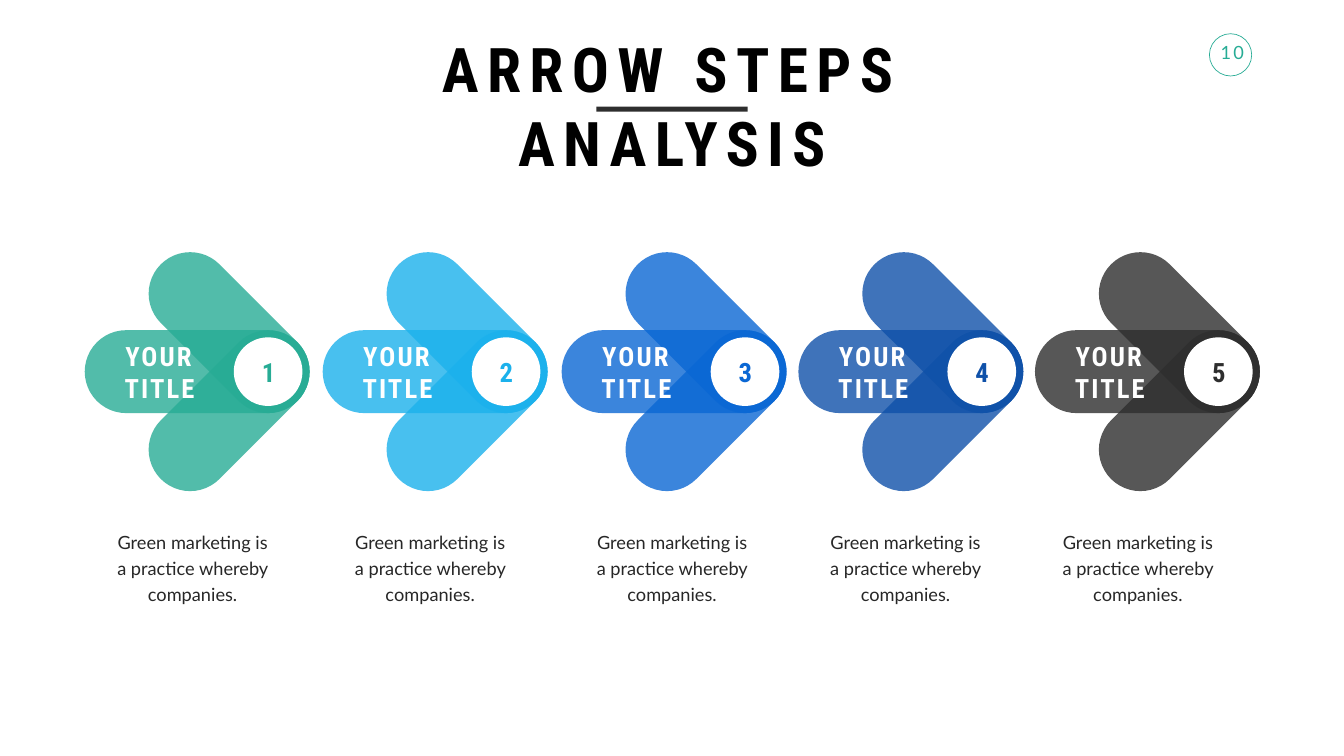
from dataclasses import dataclass
from math import sqrt

from lxml.etree import SubElement
from pptx import Presentation
from pptx.dml.color import RGBColor as Rgb
from pptx.enum.shapes import MSO_SHAPE as Kind
from pptx.enum.text import MSO_ANCHOR as Anchor, MSO_AUTO_SIZE as Fit, PP_ALIGN as Align
from pptx.oxml.ns import qn
from pptx.shapes.autoshape import Shape
from pptx.util import Cm, Pt

COLORS = {
    "green": "27AC95", "sky": "1BB1EC", "blue": "0A67D4", "navy": "0F51A9",
    "dark": "2E2E2E", "white": "FFFFFF", "black": "000000", "body": "272727",
}
HEAD, BODY = "Roboto Condensed", "Lato"

# Arrow geometry in cm
MID = 18.73        # centre line of the arrows
THICK = 4.18       # thickness of bar and arms
LONG = 11.33       # length of the bar
TIP = 9.24         # from the left of the bar to the point where its parts meet
REACH = 3.93       # how far an arm runs back, and up or down, from the tip
DISC = 3.46


@dataclass
class Box:
    left: float
    top: float
    width: float
    height: float

    def lengths(self) -> tuple:
        return Cm(self.left), Cm(self.top), Cm(self.width), Cm(self.height)


@dataclass
class Style:
    font: str
    size: int
    color: str
    bold: bool = False
    gap: int = 0       # letter spacing in points
    wrap: bool = True
    anchor: Anchor = Anchor.TOP


@dataclass
class Step:
    left: float
    note: float        # left of the note
    color: str


STEPS = [
    Step(4.27, 5, "green"),
    Step(16.26, 16.97, "sky"),
    Step(28.3, 29.16, "blue"),
    Step(40.23, 40.92, "navy"),
    Step(52.15, 52.63, "dark"),
]


def center(x: float, y: float, width: float, height: float) -> Box:
    return Box(x - width / 2, y - height / 2, width, height)


def add_form(slide, kind: Kind, box: Box, color: str) -> Shape:
    form = slide.shapes.add_shape(kind, *box.lengths())
    form.shadow.inherit = False
    form.fill.solid()
    form.fill.fore_color.rgb = Rgb.from_string(COLORS[color])
    form.line.fill.background()
    return form


def add_pill(slide, box: Box, color: str, turn: float = 0) -> None:
    """Draw a bar with round ends, 80 % opaque."""
    pill = add_form(slide, Kind.ROUNDED_RECTANGLE, box, color)
    pill.adjustments[0] = 0.5
    pill.rotation = turn
    tint = pill.fill._xPr.find(f"{qn('a:solidFill')}/{qn('a:srgbClr')}")
    SubElement(tint, qn("a:alpha")).set("val", "80000")


def add_text(slide, box: Box, text: str, style: Style) -> Shape:
    label = slide.shapes.add_textbox(*box.lengths())
    frame = label.text_frame
    frame.word_wrap = style.wrap
    frame.auto_size = Fit.SHAPE_TO_FIT_TEXT
    frame.vertical_anchor = style.anchor
    para = frame.paragraphs[0]
    para.alignment = Align.CENTER
    run = para.add_run()
    run.text = text
    font = para.font
    font.name, font.size, font.bold = style.font, Pt(style.size), style.bold
    font.color.rgb = Rgb.from_string(COLORS[style.color])
    if style.gap:
        run._r.get_or_add_rPr().set("spc", str(style.gap * 100))
    return label


def add_arrow(slide, step: Step) -> None:
    tip = step.left + TIP
    add_pill(slide, Box(step.left, MID - THICK / 2, LONG, THICK), step.color)
    for side in (1, -1):
        arm = center(tip - REACH / 2, MID + side * REACH / 2,
                     REACH * sqrt(2) + THICK, THICK)
        add_pill(slide, arm, step.color, -45 * side % 360)
    add_form(slide, Kind.OVAL, center(tip, MID, DISC, DISC), "white")


def add_note(slide, left: float) -> None:
    note = add_text(slide, Box(left, 26.29, 9.42, 4.42),
                    "Green marketing is a practice whereby companies.",
                    Style(BODY, 26, "body"))
    frame = note.text_frame
    frame.margin_left = frame.margin_right = Cm(0.61)
    frame.margin_top = frame.margin_bottom = Cm(0.3)
    para = frame.paragraphs[0]
    para.line_spacing, para.space_before = Pt(37), Pt(5.2)


def add_badge(slide) -> None:
    add_text(slide, Box(61.11, 1.98, 1.96, 1.37), "10",
             Style(BODY, 26, "green", gap=3, wrap=False))
    ring = add_form(slide, Kind.OVAL, Box(60.94, 1.7, 2.13, 2.13), "white")
    ring.fill.background()
    ring.line.color.rgb = Rgb.from_string(COLORS["green"])
    ring.line.width = Pt(1)


def main() -> None:
    deck = Presentation()
    deck.slide_width, deck.slide_height = Cm(67.72), Cm(38.1)
    slide = deck.slides.add_slide(deck.slide_layouts[6])

    add_badge(slide)
    for step in STEPS:
        add_arrow(slide, step)
    for step in STEPS:
        add_note(slide, step.note)
    add_text(slide, Box(17.96, 1.42, 31.8, 4.01), "ARROW STEPS ANALYSIS",
             Style(HEAD, 88, "black", bold=True, gap=12))
    add_form(slide, Kind.RECTANGLE, Box(30.05, 5.38, 7.62, 0.25), "dark")
    for index, step in enumerate(STEPS, 1):
        add_text(slide, center(step.left + 3.77, MID, 6.12, 1.88), "YOUR TITLE",
                 Style(HEAD, 38, "white", True, 3, anchor=Anchor.MIDDLE))
        add_text(slide, center(step.left + TIP, MID, 1.14, 1.88), str(index),
                 Style(HEAD, 38, step.color, True, 3, False, Anchor.MIDDLE))

    deck.save("out.pptx")


if __name__ == "__main__":
    main()
